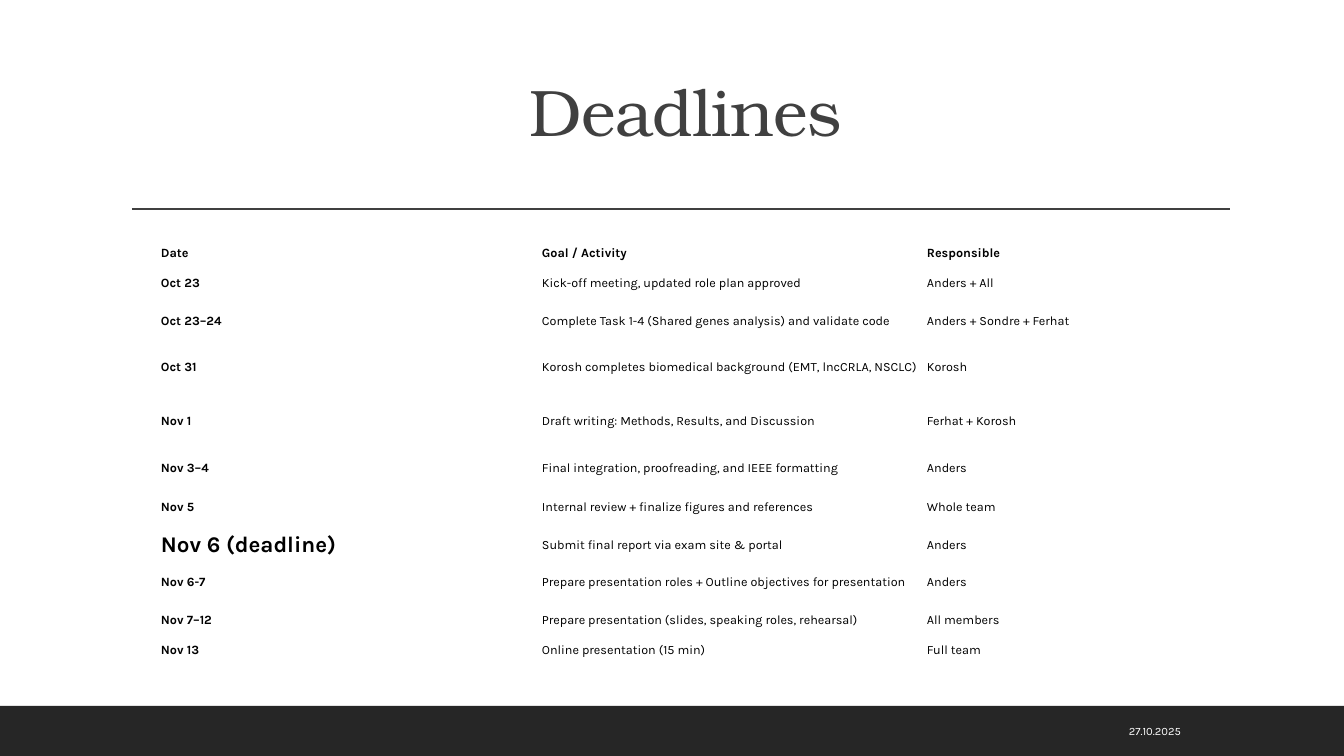
from lxml.etree import SubElement
from pptx import Presentation
from pptx.dml.color import RGBColor
from pptx.enum.shapes import MSO_CONNECTOR, MSO_SHAPE
from pptx.enum.text import MSO_ANCHOR, PP_ALIGN
from pptx.oxml.ns import qn
from pptx.util import Emu, Pt

COLORS = {"bar": "262626", "heading": "404040", "body": "000000", "date": "FFFFFF"}
HEADING_FONT, BODY_FONT = "TeX Gyre Bonum", "Karla"


def px(n):
    """Turn slide pixels (100.8 to the inch) into EMU."""
    return Emu(round(n * 914400 / 100.8))


def add_run(paragraph, text, size, color, font=BODY_FONT, bold=False):
    run = paragraph.add_run()
    run.text = text
    run.font.size = Pt(size)
    run.font.name = font
    run.font.bold = bold
    run.font.color.rgb = RGBColor.from_string(COLORS[color])
    return run


prs = Presentation()
prs.slide_width, prs.slide_height = px(1344), px(756)
slide = prs.slides.add_slide(prs.slide_layouts[6])
shapes = slide.shapes

# Footer bar and rule under the title
footer_bar = shapes.add_shape(MSO_SHAPE.RECTANGLE, px(0), px(706), px(1344), px(50))
footer_bar.shadow.inherit = False
footer_bar.fill.solid()
footer_bar.fill.fore_color.rgb = RGBColor.from_string(COLORS["bar"])
footer_bar.line.fill.background()

title_rule = shapes.add_connector(MSO_CONNECTOR.STRAIGHT, px(132), px(209), px(1230), px(209))
title_rule.line.color.rgb = RGBColor.from_string(COLORS["heading"])
title_rule.line.width = Pt(1)
SubElement(title_rule._element.spPr, qn("a:effectLst"))

# Title
title = shapes.add_textbox(px(131), px(68), px(1109), px(88)).text_frame
title.word_wrap = True
title.vertical_anchor = MSO_ANCHOR.BOTTOM
heading = title.paragraphs[0]
heading.alignment = PP_ALIGN.CENTER
heading.line_spacing = 0.9
heading_run = add_run(heading, "Deadlines", 47, "heading", HEADING_FONT)
heading_run.font._element.set("spc", "-50")

# Schedule: row height, date, activity, responsible
schedule = [
    (22, "Date", "Goal / Activity", "Responsible"),
    (38, "Oct 23", "Kick-off meeting, updated role plan approved", "Anders + All"),
    (38, "Oct 23–24", "Complete Task 1-4 (Shared genes analysis) and validate code",
     "Anders + Sondre + Ferhat"),
    (54, "Oct 31", "Korosh completes biomedical background (EMT, lncCRLA, NSCLC)", "Korosh"),
    (54, "Nov 1", "Draft writing: Methods, Results, and Discussion", "Ferhat + Korosh"),
    (40, "Nov 3–4", "Final integration, proofreading, and IEEE formatting", "Anders"),
    (38, "Nov 5", "Internal review + finalize figures and references", "Whole team"),
    (38, "Nov 6 (deadline)", "Submit final report via exam site & portal", "Anders"),
    (38, "Nov 6-7", "Prepare presentation roles + Outline objectives for presentation", "Anders"),
    (38, "Nov 7–12", "Prepare presentation (slides, speaking roles, rehearsal)", "All members"),
    (22, "Nov 13", "Online presentation (15 min)", "Full team"),
]
column_widths = [381, 385, 378]
table_height = sum(entry[0] for entry in schedule)
table = shapes.add_table(len(schedule), len(column_widths), px(156), px(242),
                         px(sum(column_widths)), px(table_height)).table
table.first_row = False
table.horz_banding = False
for column, width in zip(table.columns, column_widths):
    column.width = px(width)

for r, (height, *entry) in enumerate(schedule):
    table.rows[r].height = px(height)
    for c, text in enumerate(entry):
        cell = table.cell(r, c)
        cell.fill.background()
        cell.vertical_anchor = MSO_ANCHOR.MIDDLE
        cell.margin_left = cell.margin_right = px(5)
        cell.margin_top = cell.margin_bottom = px(2)
        size = 16 if "(deadline)" in text else 9
        add_run(cell.text_frame.paragraphs[0], text, size, "body", bold=r == 0 or c == 0)

# Slide date
date = shapes.add_textbox(px(906), px(711), px(285), px(40)).text_frame
date.word_wrap = True
date.vertical_anchor = MSO_ANCHOR.MIDDLE
date.paragraphs[0].alignment = PP_ALIGN.RIGHT
add_run(date.paragraphs[0], "27.10.2025", 8, "date")

prs.save("out.pptx")
